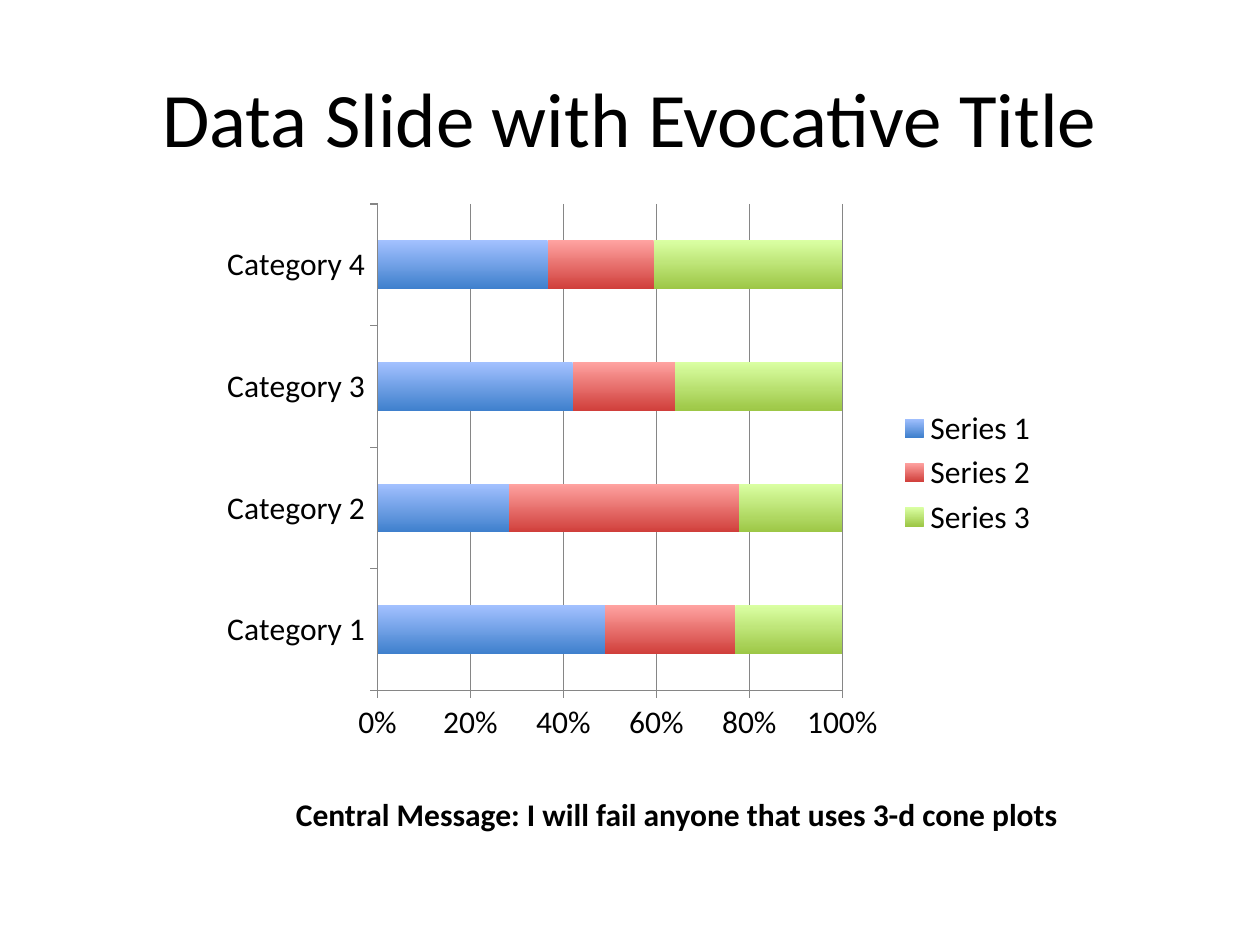
from dataclasses import dataclass

from pptx import Presentation
from pptx.chart.data import CategoryChartData
from pptx.dml.color import RGBColor
from pptx.enum.chart import XL_CHART_TYPE as ChartType
from pptx.enum.chart import XL_LEGEND_POSITION as LegendPosition
from pptx.enum.chart import XL_TICK_MARK as TickMark
from pptx.enum.text import MSO_ANCHOR as Anchor
from pptx.enum.text import PP_ALIGN as Align
from pptx.util import Inches, Pt

COLOURS = {
    "text": "000000",
    "axis": "868686",
    "blue_light": "A3C1FF",
    "blue_dark": "3F80CD",
    "red_light": "FFA3A1",
    "red_dark": "D03F3B",
    "green_light": "DAFFA3",
    "green_dark": "9DC746",
}
FONT = "Calibri"
CATEGORIES = [f"Category {number}" for number in range(1, 5)]


@dataclass
class Series:
    name: str
    values: tuple[int, ...]
    hue: str


@dataclass
class Caption:
    text: str
    box: tuple[float, float, float, float]
    size: int
    bold: bool = False
    wrap: bool = True
    align: Align = Align.LEFT
    anchor: Anchor = Anchor.TOP


SERIES = [
    Series("Series 1", (49, 28, 42, 37), "blue"),
    Series("Series 2", (28, 49, 22, 23), "red"),
    Series("Series 3", (23, 22, 36, 41), "green"),
]
CAPTIONS = [
    Caption("Data Slide with Evocative Title", (0.5, 0.3, 9, 1.25), 44,
            align=Align.CENTER, anchor=Anchor.MIDDLE),
    Caption("Central Message: I will fail anyone that uses 3-d cone plots",
            (2.25, 6.26, 6.34, 0.4), 18, bold=True, wrap=False),
]


def colour(name: str) -> RGBColor:
    return RGBColor.from_string(COLOURS[name])


def set_font(font, size: int, bold: bool = False) -> None:
    for attribute, value in {"name": FONT, "size": Pt(size), "bold": bold}.items():
        setattr(font, attribute, value)
    font.color.rgb = colour("text")


def add_caption(slide, caption: Caption) -> None:
    frame = slide.shapes.add_textbox(*map(Inches, caption.box)).text_frame
    frame.word_wrap = caption.wrap
    frame.vertical_anchor = caption.anchor
    paragraph = frame.paragraphs[0]
    paragraph.alignment = caption.align
    run = paragraph.add_run()
    run.text = caption.text
    set_font(run.font, caption.size, caption.bold)


def shade_bars(bars, hue: str) -> None:
    """Fill the bars from light at the top to dark at the bottom."""
    fill = bars.format.fill
    fill.gradient()
    fill.gradient_angle = 270
    for stop, tone in zip(fill.gradient_stops, ("light", "dark")):
        stop.color.rgb = colour(f"{hue}_{tone}")
    bars.invert_if_negative = False


def style_line(line) -> None:
    line.color.rgb = colour("axis")
    line.width = Pt(0.75)


def add_share_chart(slide) -> None:
    shares = CategoryChartData()
    shares.categories = CATEGORIES
    for series in SERIES:
        shares.add_series(series.name, series.values)
    chart = slide.shapes.add_chart(
        ChartType.BAR_STACKED_100,
        *map(Inches, (1.67, 1.53, 6.67, 4.44)), shares).chart
    set_font(chart.font, 18)
    chart.has_title = False
    chart.has_legend = True
    chart.legend.position = LegendPosition.RIGHT
    chart.legend.include_in_layout = False

    plot = chart.plots[0]
    for attribute, value in {"gap_width": 150, "overlap": 100, "vary_by_categories": False}.items():
        setattr(plot, attribute, value)
    for bars, series in zip(plot.series, SERIES):
        shade_bars(bars, series.hue)

    for axis in (chart.category_axis, chart.value_axis):
        axis.major_tick_mark = TickMark.OUTSIDE
        axis.minor_tick_mark = TickMark.NONE
        style_line(axis.format.line)
    percent_axis = chart.value_axis
    percent_axis.has_major_gridlines = True
    style_line(percent_axis.major_gridlines.format.line)
    percent_axis.major_unit = 0.2
    percent_axis.tick_labels.number_format = "0%"
    percent_axis.tick_labels.number_format_is_linked = False


def main() -> None:
    deck = Presentation()
    deck.slide_width, deck.slide_height = Inches(10), Inches(7.5)
    slide = deck.slides.add_slide(deck.slide_layouts[6])
    add_share_chart(slide)
    for caption in CAPTIONS:
        add_caption(slide, caption)
    deck.save("out.pptx")


if __name__ == "__main__":
    main()
